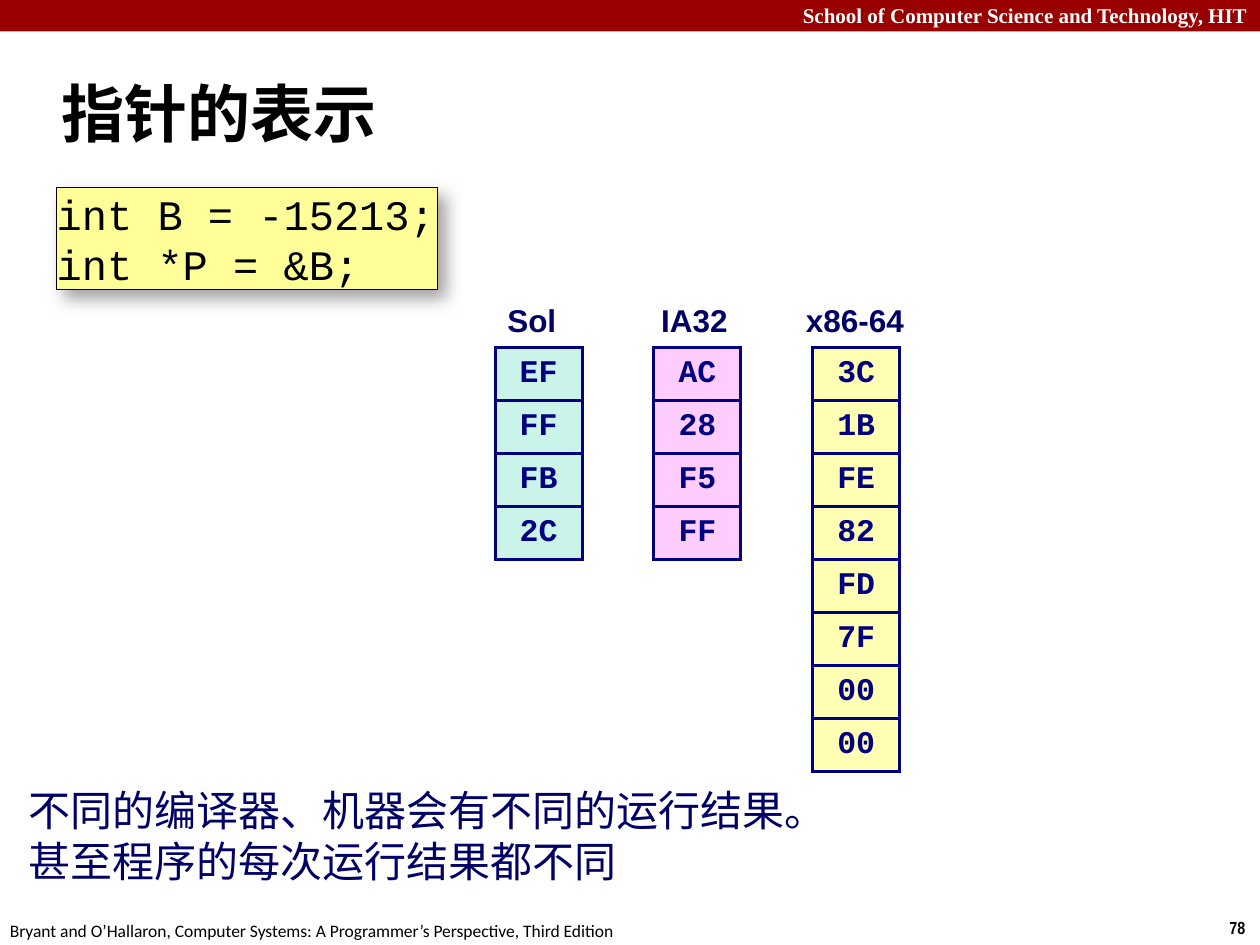
from lxml.etree import SubElement
from pptx import Presentation
from pptx.dml.color import RGBColor
from pptx.enum.shapes import MSO_SHAPE
from pptx.enum.text import MSO_ANCHOR as Anchor, MSO_AUTO_SIZE as Fit, PP_ALIGN as Align
from pptx.oxml.ns import qn
from pptx.util import Inches, Pt

BLACK, WHITE, NAVY, EDGE = "000000", "FFFFFF", "000066", "000080"
MONO = "Courier New"
PAD = (0.06, 0.06, 0.1, 0.06)


def rgb(code):
    return RGBColor.from_string(code)


def box(*lengths):
    return [Inches(n) for n in lengths]


def add_shadow(shape, color, alpha, blur, dist, angle):
    effects = SubElement(shape._element.spPr, qn("a:effectLst"))
    outer = SubElement(effects, qn("a:outerShdw"), blurRad=str(Pt(blur)),
                       dist=str(Pt(dist)), dir=str(angle * 60000),
                       algn="tl", rotWithShape="0")
    tint = SubElement(outer, qn("a:srgbClr"), val=color)
    SubElement(tint, qn("a:alpha"), val=str(alpha * 1000))


def add_borders(cell, color, width):
    props = cell._tc.get_or_add_tcPr()
    for i, side in enumerate(("a:lnL", "a:lnR", "a:lnT", "a:lnB")):
        line = props.makeelement(qn(side), {"w": str(Pt(width))})
        fill = SubElement(line, qn("a:solidFill"))
        SubElement(fill, qn("a:srgbClr"), val=color)
        props.insert(i, line)  # borders come before the cell fill


class Deck:
    def __init__(self, width, height):
        self.prs = Presentation()
        self.prs.slide_width, self.prs.slide_height = box(width, height)
        self.slide = self.prs.slides.add_slide(self.prs.slide_layouts[5])
        self.shapes = self.slide.shapes
        self.slide.background.fill.solid()
        self.slide.background.fill.fore_color.rgb = rgb(WHITE)

    def style(self, frame, text, size, font, color, bold=False, align=Align.LEFT):
        frame.text = text
        for para in frame.paragraphs:
            para.alignment = align
            for run in para.runs:
                run.font.size, run.font.name, run.font.bold = Pt(size), font, bold
                run.font.color.rgb = rgb(color)

    def inset(self, target, pad):
        (target.margin_left, target.margin_top,
         target.margin_right, target.margin_bottom) = box(*pad)

    def title(self, text, area):
        title = self.shapes.title
        title.left, title.top, title.width, title.height = box(*area)
        frame = title.text_frame
        frame.vertical_anchor, frame.auto_size = Anchor.MIDDLE, Fit.NONE
        self.style(frame, text, 36, "Calibri", BLACK, bold=True)
        props = frame.paragraphs[0]._p.get_or_add_pPr()
        props.set("marL", str(Inches(0.13)))
        props.set("indent", str(-Inches(0.13)))

    def text(self, text, area, size, font, color, bold=False, align=Align.LEFT,
             pad=(0.1, 0.05, 0.1, 0.05), wrap=False, fit=Fit.SHAPE_TO_FIT_TEXT):
        frame = self.shapes.add_textbox(*box(*area)).text_frame
        self.inset(frame, pad)
        self.style(frame, text, size, font, color, bold, align)
        frame.word_wrap, frame.auto_size = wrap, fit

    def rect(self, area, fill):
        rect = self.shapes.add_shape(MSO_SHAPE.RECTANGLE, *box(*area))
        rect.shadow.inherit = False
        rect.fill.solid()
        rect.fill.fore_color.rgb = rgb(fill)
        rect.line.fill.background()
        return rect

    def code(self, text, area, fill):
        panel = self.rect(area, fill)
        panel.line.color.rgb, panel.line.width = rgb(BLACK), Pt(0.5)
        panel._element.spPr.remove(panel._element.spPr.find(qn("a:effectLst")))
        add_shadow(panel, "808080", 75, 10, 6, 45)
        frame = panel.text_frame
        self.inset(frame, (0, 0, 0, 0))
        self.style(frame, text, 24, MONO, BLACK)
        frame.word_wrap, frame.auto_size = False, Fit.SHAPE_TO_FIT_TEXT

    def stack(self, values, left, top, fill):
        """Draw one column of bytes as a table."""
        wide, high = 0.69, 1.667 / 4
        area = box(left, top, wide, high * len(values))
        table = self.shapes.add_table(len(values), 1, *area).table
        table.first_row = table.horz_banding = False
        for row, value in enumerate(values):
            table.rows[row].height = Inches(high)
            cell = table.cell(row, 0)
            cell.fill.solid()
            cell.fill.fore_color.rgb = rgb(fill)
            cell.vertical_anchor = Anchor.MIDDLE
            self.inset(cell, (0.06,) * 4)
            self.style(cell.text_frame, value, 18, MONO, EDGE, True, Align.CENTER)
            add_borders(cell, EDGE, 2)


def main():
    deck = Deck(10, 7.5)
    deck.rect((0, 0, 10, 0.25), "990000")
    deck.text("School of Computer Science and Technology, HIT", (0, -0.03, 10, 0.3),
              12, "Times New Roman", WHITE, True, Align.RIGHT, wrap=True)
    deck.text("78", (9.66, 7.23, 0.34, 0.27), 10, "Arial Narrow", BLACK, True)
    deck.text("Bryant and O’Hallaron, Computer Systems: A Programmer’s Perspective, "
              "Third Edition", (-0.02, 7.25, 5.08, 0.27), 10, "Calibri", BLACK)

    deck.title("指针的表示", (0.39, 0.48, 9.61, 0.83))
    deck.text("不同的编译器、机器会有不同的运行结果。\n甚至程序的每次运行结果都不同",
              (0.17, 6.17, 9.67, 1), 24, "Calibri", NAVY, pad=PAD, wrap=True,
              fit=Fit.NONE)
    deck.code("int B = -15213;\nint *P = &B;", (0.45, 1.49, 3.02, 0.81), "FFFF99")

    machines = [
        ("Sol", 3.92, 0.64, "CAF4E9", "EF FF FB 2C"),
        ("IA32", 5.18, 0.7, "FFCCFE", "AC 28 F5 FF"),
        ("x86-64", 6.33, 0.95, "FFFEB2", "3C 1B FE 82 FD 7F 00 00"),
    ]
    for i, (name, left, width, fill, data) in enumerate(machines):
        deck.text(name, (left, 2.33, width, 0.42), 18, "Arial", NAVY, True,
                  Align.CENTER, pad=PAD)
        deck.stack(data.split(), 3.93 + 1.26 * i, 2.76, fill)

    deck.prs.save("out.pptx")


if __name__ == "__main__":
    main()
